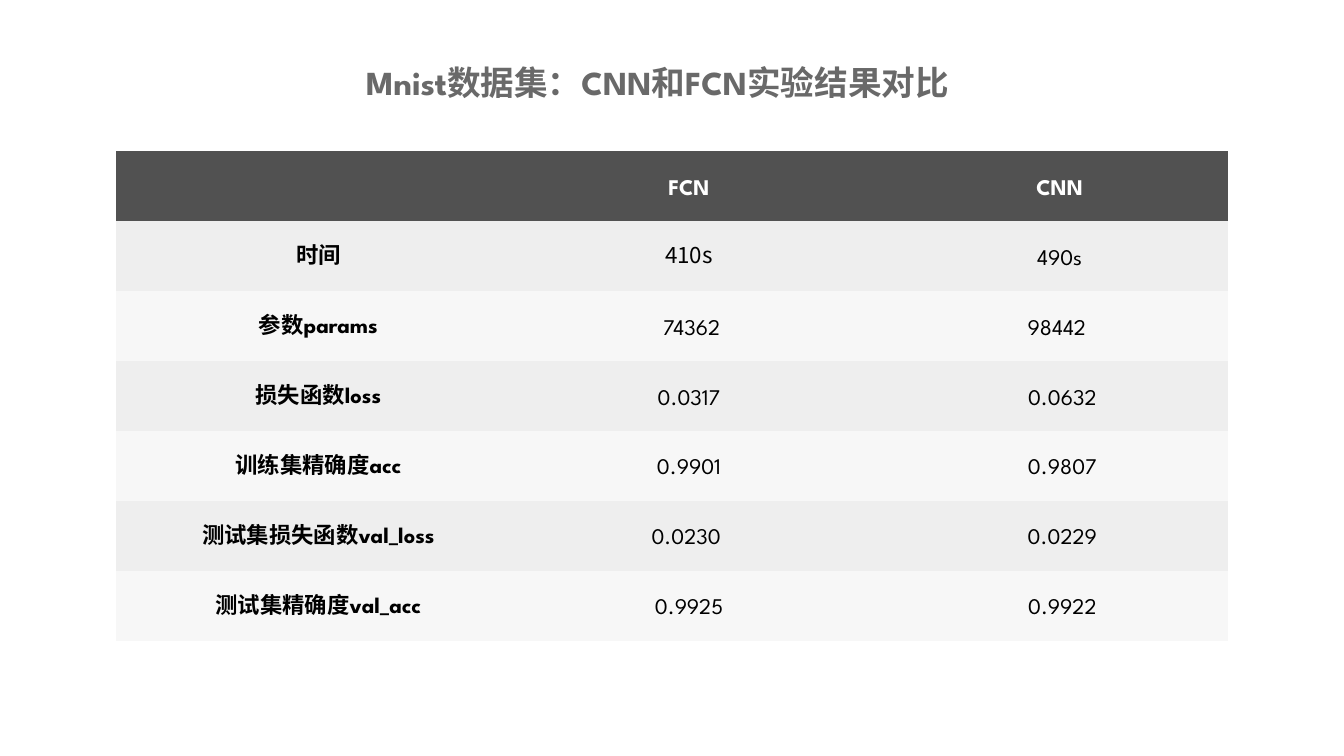
"""Build a slide comparing FCN and CNN results on the Mnist data set."""
from dataclasses import dataclass

from lxml.etree import SubElement
from pptx import Presentation
from pptx.dml.color import RGBColor
from pptx.enum.text import MSO_ANCHOR, MSO_AUTO_SIZE, PP_ALIGN
from pptx.oxml.ns import qn
from pptx.slide import Slide
from pptx.table import _Cell
from pptx.text.text import _Paragraph
from pptx.util import Emu, Pt

PX_PER_INCH = 100.8
SPARTAN = "League Spartan"
NOTO = "Noto Sans CJK SC"
PLAIN_TABLE_STYLE = "{2D5ABB26-0587-4C30-8999-92F81FD0307C}"

TITLE_GREY = RGBColor(0x69, 0x69, 0x69)
HEADER_GREY = RGBColor(0x51, 0x51, 0x51)
BAND_DARK = RGBColor(0xEE, 0xEE, 0xEE)
BAND_LIGHT = RGBColor(0xF7, 0xF7, 0xF7)
WHITE = RGBColor(0xFF, 0xFF, 0xFF)
BLACK = RGBColor(0x00, 0x00, 0x00)


@dataclass(frozen=True)
class Style:
    size: int
    color: RGBColor
    bold: bool
    face: str = SPARTAN


@dataclass(frozen=True)
class Result:
    metric: str
    fcn: str
    cnn: str
    fcn_face: str = SPARTAN


HEADINGS = ("", "FCN", "CNN")
RESULTS = (
    Result("时间", "410s", "490s", fcn_face=NOTO),
    Result("参数params", " 74362", "98442 "),
    Result("损失函数loss", "0.0317", " 0.0632"),
    Result("训练集精确度acc", "0.9901", " 0.9807"),
    Result("测试集损失函数val_loss", "0.0230 ", " 0.0229"),
    Result("测试集精确度val_acc", "0.9925", " 0.9922"),
)
TITLE_STYLE = Style(24, TITLE_GREY, True)
HEADING_STYLE = Style(16, WHITE, True)
METRIC_STYLE = Style(16, BLACK, True)


def px(length: int) -> Emu:
    return Emu(round(length * 914400 / PX_PER_INCH))


def add_run(paragraph: _Paragraph, text: str, style: Style) -> None:
    run = paragraph.add_run()
    run.text = text
    run.font.size = Pt(style.size)
    run.font.bold = style.bold
    run.font.color.rgb = style.color
    run.font.name = style.face
    SubElement(run.font._element, qn("a:ea")).set("typeface", NOTO)


def fill_cell(cell: _Cell, text: str, style: Style, background: RGBColor) -> None:
    cell.fill.solid()
    cell.fill.fore_color.rgb = background
    cell.vertical_anchor = MSO_ANCHOR.MIDDLE
    paragraph = cell.text_frame.paragraphs[0]
    paragraph.alignment = PP_ALIGN.CENTER
    paragraph.line_spacing = Pt(20)
    properties = paragraph._p.get_or_add_pPr()
    properties.set("marL", "0")
    properties.set("indent", str(px(34)))
    if text:
        add_run(paragraph, text, style)


def add_title(slide: Slide) -> None:
    title = slide.shapes.title
    title.left, title.top, title.width, title.height = px(356), px(57), px(633), px(50)
    frame = title.text_frame
    frame.word_wrap = True
    frame.auto_size = MSO_AUTO_SIZE.SHAPE_TO_FIT_TEXT
    frame.vertical_anchor = MSO_ANCHOR.TOP
    paragraph = frame.paragraphs[0]
    paragraph.alignment = PP_ALIGN.LEFT
    add_run(paragraph, "Mnist数据集：CNN和FCN实验结果对比", TITLE_STYLE)


def add_results(slide: Slide) -> None:
    row_count = len(RESULTS) + 1
    frame = slide.shapes.add_table(
        row_count, len(HEADINGS), px(116), px(151), px(1112), px(70 * row_count)
    )
    table = frame.table
    table._tbl.tblPr.find(qn("a:tableStyleId")).text = PLAIN_TABLE_STYLE
    table.horz_banding = False
    for row in table.rows:
        row.height = px(70)
    for column, heading in enumerate(HEADINGS):
        fill_cell(table.cell(0, column), heading, HEADING_STYLE, HEADER_GREY)
    for row, result in enumerate(RESULTS, start=1):
        band = BAND_DARK if row % 2 else BAND_LIGHT
        fcn_style = Style(16, BLACK, False, result.fcn_face)
        cnn_style = Style(16, BLACK, False)
        fill_cell(table.cell(row, 0), result.metric, METRIC_STYLE, band)
        fill_cell(table.cell(row, 1), result.fcn, fcn_style, band)
        fill_cell(table.cell(row, 2), result.cnn, cnn_style, band)


def main() -> None:
    deck = Presentation()
    deck.slide_width, deck.slide_height = px(1344), px(756)
    slide = deck.slides.add_slide(deck.slide_layouts[5])
    add_results(slide)
    add_title(slide)
    deck.save("out.pptx")


if __name__ == "__main__":
    main()
